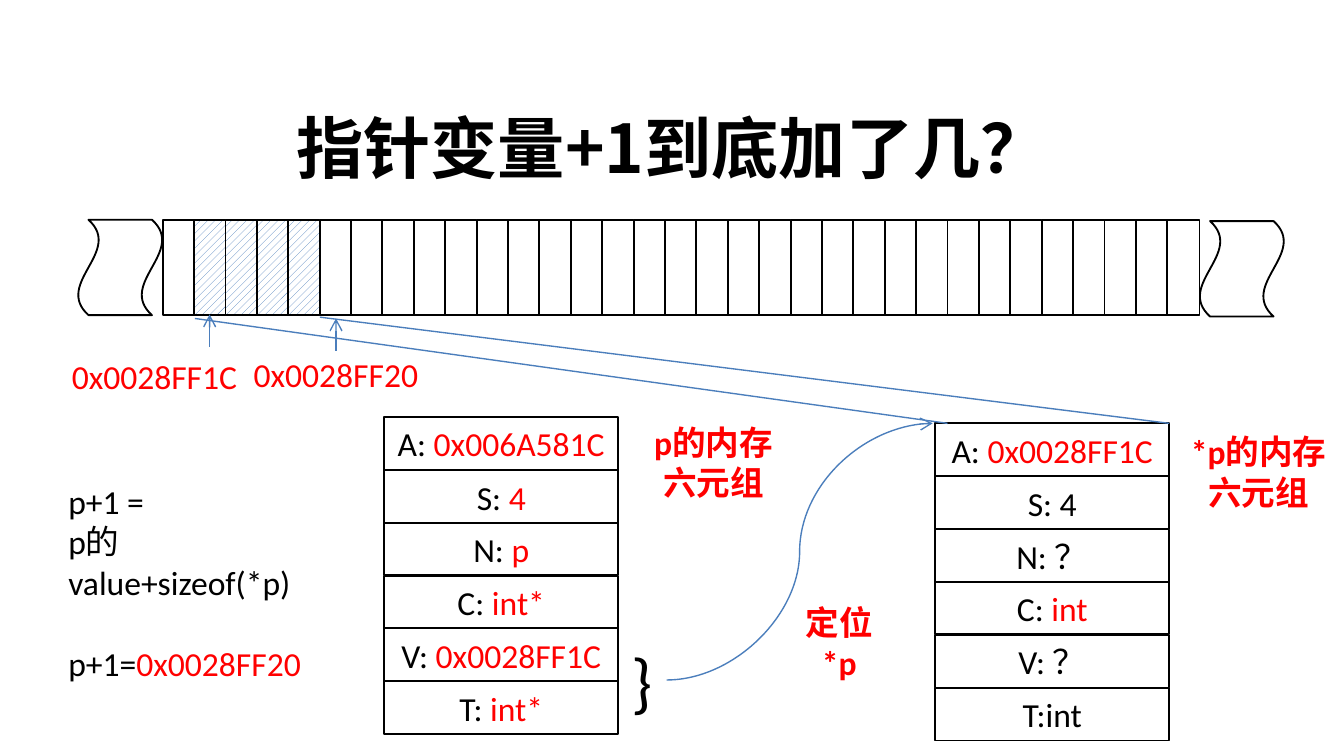
import pptx
import pptx.dml.color
import pptx.enum.dml
import pptx.enum.shapes
import pptx.enum.text
import pptx.oxml
import pptx.util

PX = 4572  # EMU in one px, at 200 px to the inch
COLORS = {"ink": "000000", "paper": "FFFFFF", "value": "FF0000",
          "link": "4B7EBC", "hatch": "4F81BD"}
SHAPES = pptx.enum.shapes.MSO_SHAPE
CONNECTORS = pptx.enum.shapes.MSO_CONNECTOR
CENTER = pptx.enum.text.PP_ALIGN.CENTER
LEFT = pptx.enum.text.PP_ALIGN.LEFT
MIDDLE = pptx.enum.text.MSO_ANCHOR.MIDDLE
DRAWING = 'xmlns:a="http://schemas.openxmlformats.org/drawingml/2006/main"'


def emu(*lengths):
    return [round(length * PX) for length in lengths]


def rgb(name):
    return pptx.dml.color.RGBColor.from_string(COLORS[name])


def write_paragraph(paragraph, runs, align=CENTER, size=18, color="ink",
                    bold=False, font="Calibri"):
    """Fill a paragraph from (text, color) runs; a color of None keeps the paragraph's."""
    paragraph.alignment = align
    paragraph.font.name = font
    paragraph.font.size = pptx.util.Pt(size)
    paragraph.font.bold = bold
    paragraph.font.color.rgb = rgb(color)
    for text, run_color in runs:
        run = paragraph.add_run()
        run.text = text
        if run_color:
            run.font.color.rgb = rgb(run_color)


def add_label(slide, box, text, wrap=True, side_margin=20, **style):
    label = slide.shapes.add_textbox(*emu(*box))
    frame = label.text_frame
    frame.word_wrap = wrap
    frame.margin_left = frame.margin_right = side_margin * PX
    write_paragraph(frame.paragraphs[0], [(text, None)], **style)
    return frame


def add_outlined(slide, kind, box, rotation=0):
    shape = slide.shapes.add_shape(kind, *emu(*box))
    shape.rotation = rotation
    shape.shadow.inherit = False
    shape.fill.background()
    shape.line.color.rgb = rgb("ink")
    shape.line.width = pptx.util.Pt(1)
    return shape


def add_link(slide, start, end, kind=CONNECTORS.STRAIGHT, arrow=False):
    link = slide.shapes.add_connector(kind, *emu(*start, *end))
    link.line.color.rgb = rgb("link")
    link.line.width = pptx.util.Pt(0.75)
    outline = link.line._get_or_add_ln()
    if arrow:
        outline.append(pptx.oxml.parse_xml(f'<a:tailEnd {DRAWING} type="arrow"/>'))
    outline.getparent().append(pptx.oxml.parse_xml(f'<a:effectLst {DRAWING}/>'))


def add_memory_strip(slide, box, cells=33, hatched=range(1, 5)):
    """Draw a row of byte cells with a torn end on each side."""
    left, top, width, height = box
    torn = 126
    shift = (height - torn) / 2  # a quarter turn swaps width and height
    for torn_left, torn_top in ((left - torn, top), (left + width, top + 2)):
        end = add_outlined(slide, SHAPES.WAVE,
                           (torn_left - shift, torn_top + shift, height, torn), 270)
        end.fill.solid()
        end.fill.fore_color.rgb = rgb("paper")

    thickness = 48
    pitch = (width - thickness) / (cells - 1)
    for i in range(cells):
        center = left + thickness / 2 + i * pitch
        cell = add_outlined(slide, SHAPES.RECTANGLE,
                            (center - height / 2, top + (height - thickness) / 2,
                             height, thickness), 90)
        if i in hatched:
            cell.fill.patterned()
            cell.fill.pattern = pptx.enum.dml.MSO_PATTERN.WIDE_UPWARD_DIAGONAL
            cell.fill.fore_color.rgb = rgb("hatch")
            cell.fill.back_color.rgb = rgb("paper")
        else:
            cell.fill.solid()
            cell.fill.fore_color.rgb = rgb("paper")


def add_address(slide, box, address, arrow_x, arrow_rise):
    """Write an address with an arrow up to its cell; arrow_x counts from the box's left."""
    left, top = box[:2]
    add_label(slide, box, address, wrap=False, color="value")
    foot = top - arrow_rise
    add_link(slide, (left + arrow_x, foot), (left + arrow_x, foot - 48), arrow=True)


def add_six_tuple(slide, box, rows):
    left, top, width, height = box
    row_height = 78
    pitch = (height - row_height) / (len(rows) - 1)
    for i, runs in enumerate(rows):
        row = add_outlined(slide, SHAPES.RECTANGLE,
                           (left, top + round(i * pitch), width, row_height))
        frame = row.text_frame
        frame.word_wrap = True
        frame.margin_left = frame.margin_right = 8 * PX
        frame.vertical_anchor = MIDDLE
        write_paragraph(frame.paragraphs[0], runs)


def add_formula(slide, box):
    frame = add_label(slide, box, "p+1 =", align=LEFT)
    frame.margin_right = 40 * PX
    write_paragraph(frame.add_paragraph(), [("p的value+sizeof(*p)", None)], align=LEFT)
    result = frame.add_paragraph()
    result.space_before = pptx.util.Pt(22)
    write_paragraph(result, [("p+1=", None), ("0x0028FF20", "value")], align=LEFT)


def build_slide(slide):
    title = add_label(slide, (100, 143, 1800, 150), "指针变量+1到底加了几？",
                      size=36, bold=True, font="Noto Sans CJK SC")
    title.vertical_anchor = MIDDLE

    add_memory_strip(slide, (242, 327, 1543, 142))
    add_address(slide, (82, 520, 296, 80), "0x0028FF1C", arrow_x=230, arrow_rise=4)
    add_address(slide, (356, 517, 288, 80), "0x0028FF20", arrow_x=144, arrow_rise=-5)

    add_six_tuple(slide, (572, 621, 348, 471), [
        [("A: ", None), ("0x006A581C", "value")],
        [("S: ", None), ("4", "value")],
        [("N: ", None), ("p", "value")],
        [("C: ", None), ("int*", "value")],
        [("V: ", None), ("0x0028FF1C", "value")],
        [("T: ", None), ("int*", "value")],
    ])
    add_six_tuple(slide, (1392, 630, 348, 472), [
        [("A: ", None), ("0x0028FF1C", "value")],
        [("S: 4", None)],
        [("N: ？", None)],
        [("C: ", None), ("int", "value")],
        [("V: ？", None)],
        [("T:int", None)],
    ])
    add_label(slide, (946, 618, 232, 142), "p的内存六元组", color="value", bold=True)
    add_label(slide, (1746, 632, 254, 142), "*p的内存六元组", color="value", bold=True)

    add_link(slide, (1410, 630), (290, 474))
    add_link(slide, (1740, 630), (476, 472))
    add_label(slide, (920, 942, 72, 142), "}", wrap=False, align=LEFT, size=36)
    add_link(slide, (992, 1012), (1388, 630), CONNECTORS.CURVE, arrow=True)
    add_label(slide, (1152, 886, 194, 80), "定位*p", side_margin=32,
              color="value", bold=True)
    add_formula(slide, (82, 706, 452, 262))


def main():
    deck = pptx.Presentation()
    deck.slide_width, deck.slide_height = emu(2000, 1125)
    build_slide(deck.slides.add_slide(deck.slide_layouts[6]))
    deck.save("out.pptx")


if __name__ == "__main__":
    main()
